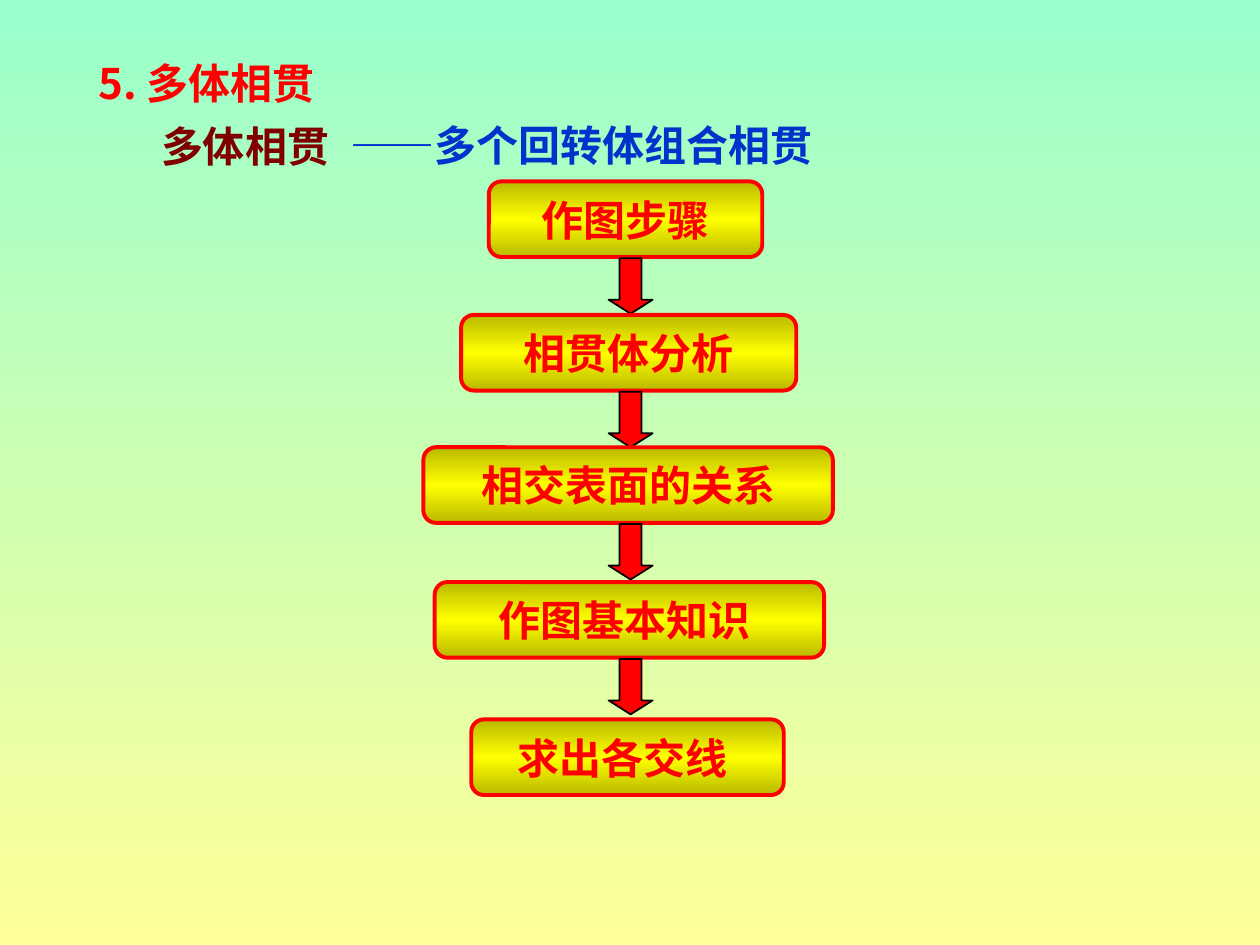
from copy import deepcopy
from dataclasses import dataclass

from pptx import Presentation
from pptx.dml.color import RGBColor as RGB
from pptx.enum.shapes import MSO_SHAPE as SHAPE
from pptx.enum.text import MSO_ANCHOR as ANCHOR, MSO_AUTO_SIZE as AUTOSIZE, PP_ALIGN as ALIGN
from pptx.oxml.ns import qn
from pptx.util import Inches, Pt


@dataclass(frozen=True)
class Theme:
    font: str = "Noto Sans CJK SC"
    size: float = 24
    red: str = "FF0000"
    maroon: str = "800000"
    blue: str = "0033CC"
    black: str = "000000"
    background: tuple = ("99FFCC", "FFFF99")
    gold: tuple = ("B9B900", "FFFF00", "B9B900")
    box_line: float = 2.25
    arrow_line: float = 1


class FlowSlide:
    def __init__(self, prs, theme):
        self.theme = theme
        self.s = prs.slides.add_slide(prs.slide_layouts[5])
        self.gradient(self.s.background.fill, self.s.element, theme.background)

    def gradient(self, fill, element, colors):
        """Fill from top to bottom with evenly spaced colours."""
        fill.gradient()
        fill.gradient_angle = 270
        stops = element.find(".//" + qn("a:gsLst"))
        while len(stops) < len(colors):
            stops.append(deepcopy(stops[0]))
        for i, (stop, color) in enumerate(zip(fill.gradient_stops, colors)):
            stop.position = i / (len(colors) - 1)
            stop.color.rgb = RGB.from_string(color)

    def set_text(self, sp, text, color, align=ALIGN.LEFT, **frame):
        tf = sp.text_frame
        margins = {"margin_left": Inches(0.1), "margin_right": Inches(0.1),
                   "margin_top": Inches(0.05), "margin_bottom": Inches(0.05)}
        for name, value in {**margins, **frame}.items():
            setattr(tf, name, value)
        p = tf.paragraphs[0]
        p.alignment = align
        r = p.add_run()
        r.text = text
        style = {"name": self.theme.font, "size": Pt(self.theme.size), "bold": True}
        for name, value in style.items():
            setattr(r.font, name, value)
        r.font.color.rgb = RGB.from_string(color)
        r_pr = r._r.get_or_add_rPr()
        east_asian = r_pr.makeelement(qn("a:ea"), {"typeface": self.theme.font})
        r_pr.find(qn("a:latin")).addnext(east_asian)

    def heading(self, sp, text, color):
        self.set_text(sp, text, color, word_wrap=True, vertical_anchor=ANCHOR.TOP,
                      auto_size=AUTOSIZE.SHAPE_TO_FIT_TEXT)

    def title(self, text, color, *place):
        sp = self.s.shapes.title
        for name, value in zip(("left", "top", "width", "height"), place):
            setattr(sp, name, Inches(value))
        self.heading(sp, text, color)

    def label(self, text, color, *place):
        self.heading(self.s.shapes.add_textbox(*map(Inches, place)), text, color)

    def shape(self, kind, adjustments, line_color, line_width, *place):
        sp = self.s.shapes.add_shape(kind, *map(Inches, place))
        sp.shadow.inherit = False
        for i, value in enumerate(adjustments):
            sp.adjustments[i] = value
        sp.line.color.rgb = RGB.from_string(line_color)
        sp.line.width = Pt(line_width)
        return sp

    def step(self, text, *place):
        theme = self.theme
        sp = self.shape(SHAPE.ROUNDED_RECTANGLE, [0.167], theme.red, theme.box_line, *place)
        self.gradient(sp.fill, sp.element, theme.gold)
        self.set_text(sp, text, theme.red, ALIGN.CENTER, word_wrap=False,
                      vertical_anchor=ANCHOR.MIDDLE)

    def arrow(self, *place):
        theme = self.theme
        sp = self.shape(SHAPE.DOWN_ARROW, [0.5, 0.317], theme.black, theme.arrow_line, *place)
        sp.fill.solid()
        sp.fill.fore_color.rgb = RGB.from_string(theme.red)


STEPS = [  # text, left, top, width
    ("作图步骤", 3.88, 1.44, 2.17),
    ("相贯体分析", 3.66, 2.5, 2.66),
    ("相交表面的关系", 3.36, 3.55, 3.25),
    ("作图基本知识 ", 3.45, 4.62, 3.09),
    ("求出各交线 ", 3.74, 5.71, 2.48),
]
STEP_HEIGHT = 0.6
ARROW_LEFT, ARROW_WIDTH, ARROW_HEIGHT = 4.83, 0.35, 0.44


def main():
    prs = Presentation()
    prs.slide_width, prs.slide_height = Inches(10), Inches(7.5)
    theme = Theme()
    slide = FlowSlide(prs, theme)

    slide.title("5. 多体相贯", theme.red, 0.68, 0.41, 3.06, 0.5)
    slide.label("多体相贯", theme.maroon, 1.18, 0.91, 2.27, 0.5)
    slide.label("——多个回转体组合相贯", theme.blue, 2.68, 0.9, 5.26, 0.5)

    for i, (text, left, top, width) in enumerate(STEPS):
        slide.step(text, left, top, width, STEP_HEIGHT)
        if i < len(STEPS) - 1:
            slide.arrow(ARROW_LEFT, top + STEP_HEIGHT + 0.01, ARROW_WIDTH, ARROW_HEIGHT)

    prs.save("out.pptx")


if __name__ == "__main__":
    main()
